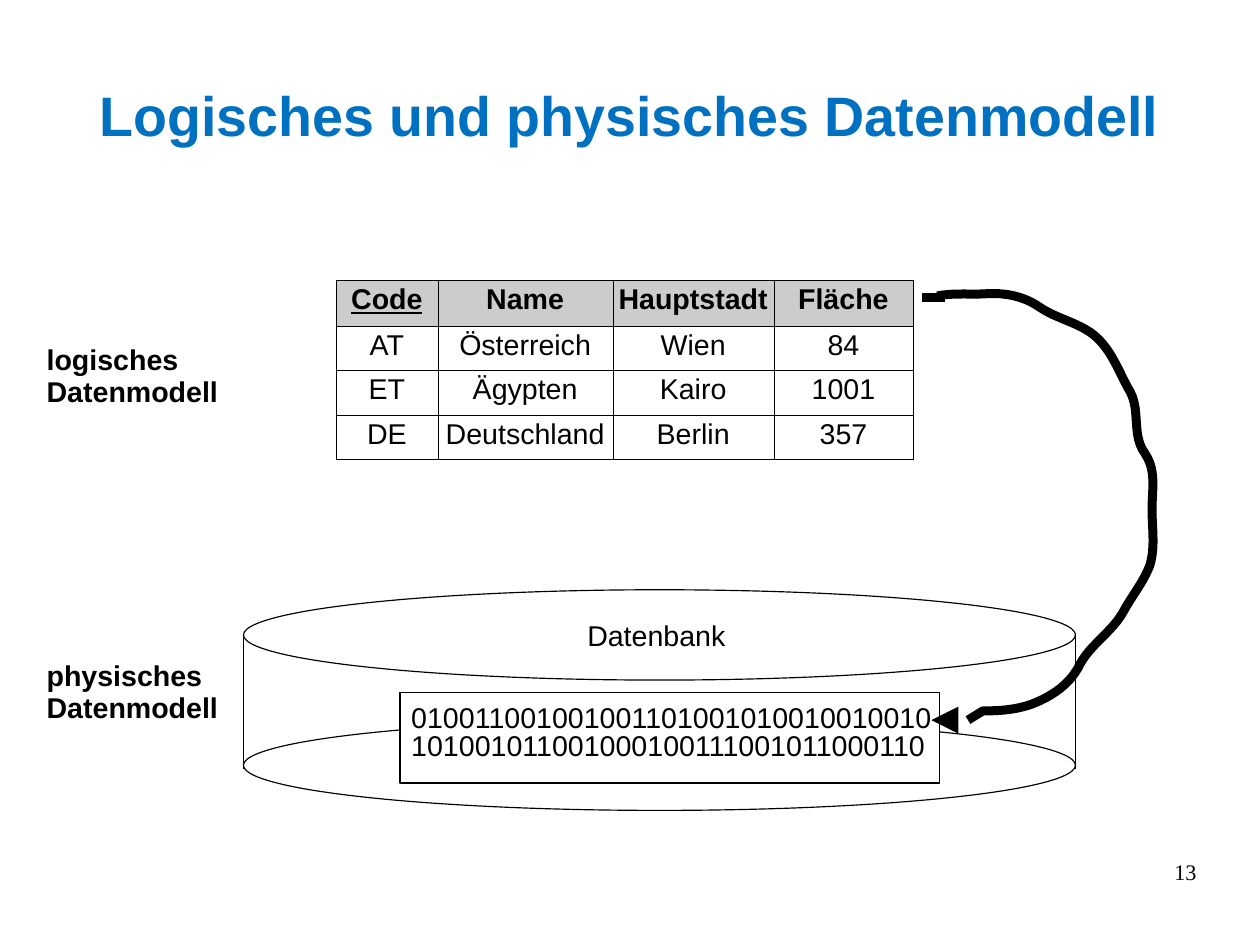
import pptx
import pptx.dml.color
import pptx.enum.shapes
import pptx.enum.text
import pptx.oxml.ns
import pptx.util
from lxml import etree

Inches, Pt = pptx.util.Inches, pptx.util.Pt
RGBColor = pptx.dml.color.RGBColor
SHAPE = pptx.enum.shapes.MSO_SHAPE
ALIGN = pptx.enum.text.PP_ALIGN
ANCHOR = pptx.enum.text.MSO_ANCHOR
qn = pptx.oxml.ns.qn

BLACK = RGBColor(0, 0, 0)
WHITE = RGBColor(255, 255, 255)
BLUE = RGBColor(0x00, 0x70, 0xC0)
GREY = RGBColor(0xCC, 0xCC, 0xCC)
THIN, THICK, HAIR = 0.75, 5.67, 0.06
LABEL_INSETS = (0.1, 0.07, 0.1, 0.05)
COLUMNS = (0.89, 1.53, 1.41, 1.22)
ROW_HEIGHTS = (0.4, 0.39, 0.39, 0.39)
COUNTRIES = (
    ("Code", "Name", "Hauptstadt", "Fläche"),
    ("AT", "Österreich", "Wien", "84"),
    ("ET", "Ägypten", "Kairo", "1001"),
    ("DE", "Deutschland", "Berlin", "357"),
)
BITS = ("010011001001001101001010010010010", "101001011001000100111001011000110")
CURVE_START, CURVE_END = (8.2, 2.59), (8.47, 6.3)
CURVE = (
    ((8.35, 2.56), (8.49, 2.58), (8.63, 2.57)),
    ((8.79, 2.56), (8.96, 2.59), (9.1, 2.69)),
    ((9.25, 2.79), (9.43, 2.82), (9.57, 2.93)),
    ((9.73, 3.06), (9.79, 3.26), (9.89, 3.43)),
    ((9.98, 3.6), (9.9, 3.81), (10.02, 3.97)),
    ((10.12, 4.12), (10.08, 4.29), (10.08, 4.45)),
    ((10.08, 4.62), (10.11, 4.79), (10.06, 4.95)),
    ((10, 5.1), (9.9, 5.22), (9.83, 5.35)),
    ((9.73, 5.53), (9.55, 5.63), (9.45, 5.81)),
    ((9.37, 5.98), (9.21, 6.09), (9.03, 6.16)),
    ((8.89, 6.21), (8.75, 6.22), (8.6, 6.22)),
)


def set_line(line, width):
    """Give a line its black colour and its width in points."""
    line.color.rgb = BLACK
    line.width = Pt(width)


def write(p, lines, size=18, bold=False, underline=False, color=BLACK,
          font="Arial", align=ALIGN.LEFT, spacing=0.93):
    """Fill a paragraph with one run for each line."""
    p.alignment, p.line_spacing = align, spacing
    for i, text in enumerate(lines):
        if i:
            p.add_line_break()
        r = p.add_run()
        r.text = text
        r.font.name, r.font.size = font, Pt(size)
        r.font.bold, r.font.underline = bold, underline
        r.font.color.rgb = color


def add_text(s, box, lines, insets=LABEL_INSETS, anchor=ANCHOR.TOP, **style):
    """Add a wrapping text box."""
    tf = s.shapes.add_textbox(*map(Inches, box)).text_frame
    tf.word_wrap, tf.vertical_anchor = True, anchor
    tf.margin_left, tf.margin_top, tf.margin_right, tf.margin_bottom = map(Inches, insets)
    write(tf.paragraphs[0], lines, **style)


def add_outline(s, kind, box, fill=None):
    """Add a thinly outlined shape, filled if a colour is given."""
    sp = s.shapes.add_shape(kind, *map(Inches, box))
    sp.shadow.inherit = False
    if fill is None:
        sp.fill.background()
    else:
        sp.fill.solid()
        sp.fill.fore_color.rgb = fill
    set_line(sp.line, THIN)


def add_line(s, start, end, width, arrow=False):
    """Add a straight line, with an arrowhead at its end if wanted."""
    kind = pptx.enum.shapes.MSO_CONNECTOR.STRAIGHT
    sp = s.shapes.add_connector(kind, *map(Inches, start + end))
    set_line(sp.line, width)
    if arrow:
        ln = sp._element.spPr.find(qn("a:ln"))
        etree.SubElement(ln, qn("a:tailEnd"), type="triangle")
    etree.SubElement(sp._element.spPr, qn("a:effectLst"))


def add_curve(s, steps=12):
    """Draw the Bézier curve from the table to the stored bits."""
    points, p0 = [], CURVE_START
    for p1, p2, p3 in CURVE:
        for t in (i / steps for i in range(1, steps + 1)):
            u = 1 - t
            points.append(tuple(
                Inches(u**3 * a + 3 * u * u * t * b + 3 * u * t * t * c + t**3 * d)
                for a, b, c, d in zip(p0, p1, p2, p3)))
        p0 = p3
    points.append(tuple(map(Inches, CURVE_END)))
    builder = s.shapes.build_freeform(*map(Inches, CURVE_START))
    builder.add_line_segments(points, close=False)
    sp = builder.convert_to_shape()
    sp.shadow.inherit = False
    sp.fill.background()
    set_line(sp.line, THICK)


def add_borders(cell):
    """Give a cell hairline borders on all sides."""
    tc_pr = cell._tc.get_or_add_tcPr()
    for i, side in enumerate(("lnL", "lnR", "lnT", "lnB")):
        ln = etree.Element(qn("a:" + side), w=str(int(Pt(HAIR))))
        fill = etree.SubElement(ln, qn("a:solidFill"))
        etree.SubElement(fill, qn("a:srgbClr"), val=str(BLACK))
        tc_pr.insert(i, ln)


def add_countries(s):
    """Add the table of countries."""
    box = (2.94, 2.45, sum(COLUMNS), sum(ROW_HEIGHTS))
    table = s.shapes.add_table(len(COUNTRIES), len(COLUMNS), *map(Inches, box)).table
    table.first_row = table.horz_banding = False
    for column, width in zip(table.columns, COLUMNS):
        column.width = Inches(width)
    for i, (row, height) in enumerate(zip(table.rows, ROW_HEIGHTS)):
        row.height = Inches(height)
        header = i == 0
        for j, cell in enumerate(row.cells):
            cell.margin_left = cell.margin_right = Inches(0.04)
            cell.margin_top = cell.margin_bottom = Inches(0.05)
            if header:
                cell.fill.solid()
                cell.fill.fore_color.rgb = GREY
            else:
                cell.fill.background()
            add_borders(cell)
            write(cell.text_frame.paragraphs[0], [COUNTRIES[i][j]], bold=header,
                  underline=header and j == 0, align=ALIGN.CENTER)


def add_database(s):
    """Add the database cylinder with its label and its stored bits."""
    left, top, width, height = 2.13, 5.16, 7.28, 0.79
    add_outline(s, SHAPE.OVAL, (left, top + 1.14, width, height))
    add_outline(s, SHAPE.OVAL, (left, top, width, height))
    for x in (left, left + width):
        add_line(s, (x, 5.55), (x, 6.73), THIN)
    add_outline(s, SHAPE.RECTANGLE, (3.5, 6.06, 4.72, 0.79), WHITE)
    add_text(s, (3.5, 6.1, 5.16, 0.66), BITS, spacing=0.83)
    add_text(s, (5.04, 5.39, 2.36, 0.38), ["Datenbank"], spacing=0.83)


def main():
    """Build the slide and save it."""
    prs = pptx.Presentation()
    prs.slide_width = Pt(793.75)
    prs.slide_height = Pt(595.25)
    s = prs.slides.add_slide(prs.slide_layouts[6])
    add_text(s, (0.55, 0.33, 9.92, 1.38), ["Logisches und physisches Datenmodell"],
             (0, 0.03, 0, 0), ANCHOR.MIDDLE, size=35, bold=True, color=BLUE,
             align=ALIGN.CENTER)
    add_database(s)
    for y, text in ((2.95, "logisches Datenmodell"), (5.71, "physisches Datenmodell")):
        add_text(s, (0.31, y, 1.97, 0.68), [text], bold=True)
    add_countries(s)
    add_line(s, (8.27, 2.6), (8.07, 2.6), THICK)
    add_curve(s)
    add_line(s, (8.35, 6.3), (8.15, 6.3), THICK, arrow=True)
    add_text(s, (7.9, 7.53, 2.57, 0.57), ["13"], (0, 0, 0, 0), size=14,
             font="Times New Roman", align=ALIGN.RIGHT, spacing=0.95)
    prs.save("out.pptx")


if __name__ == "__main__":
    main()
